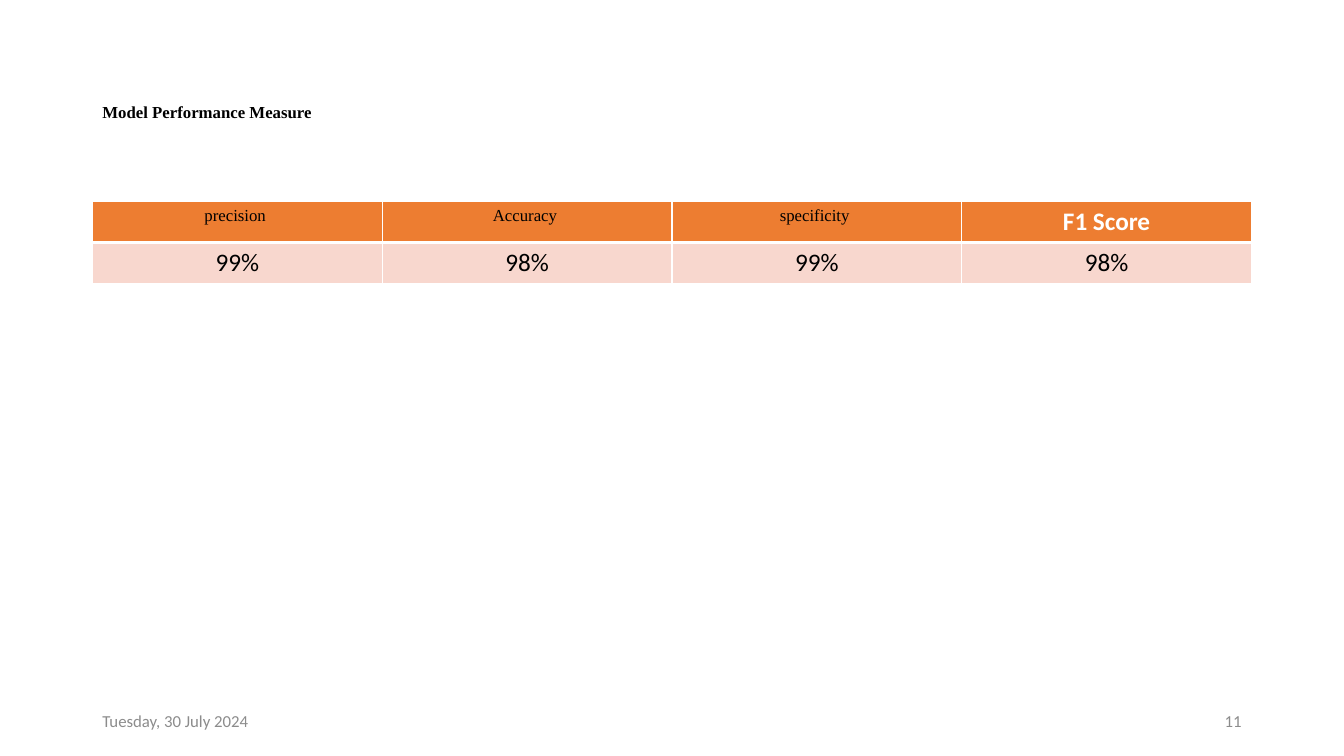
import pptx
import pptx.dml.color
import pptx.enum.text
import pptx.oxml
import pptx.oxml.ns
import pptx.util
from pptx.util import Cm

COLORS = {"text": "000000", "header": "ED7D31", "body": "F8D7CE",
          "white": "FFFFFF", "footer": "8C8C8C"}
ALIGN = pptx.enum.text.PP_ALIGN
SERIF = {"name": "Times New Roman", "size": 12, "bold": False, "color": "text"}
TITLE = {**SERIF, "bold": True}
SCORE = {"name": "Calibri", "size": 18, "bold": True, "color": "white"}
VALUE = {**SCORE, "bold": False, "color": "text"}
FOOTER = {**VALUE, "size": 12, "color": "footer"}

MEASURES = [("precision ", "99%", SERIF), ("Accuracy ", "98%", SERIF),
            ("specificity ", "99%", SERIF), ("F1 Score", "98%", SCORE)]


def rgb(name):
    return pptx.dml.color.RGBColor.from_string(COLORS[name])


def write(tf, text, fmt, align):
    p = tf.paragraphs[0]
    p.alignment = align
    r = p.add_run()
    r.text = text
    for key, value in fmt.items():
        if key == "color":
            r.font.color.rgb = rgb(value)
        else:
            setattr(r.font, key, pptx.util.Pt(value) if key == "size" else value)
    return p


def add_text(s, box, text, fmt, align=ALIGN.LEFT):
    tf = s.shapes.add_textbox(*box).text_frame
    tf.word_wrap = True
    tf.vertical_anchor = pptx.enum.text.MSO_ANCHOR.MIDDLE
    return write(tf, text, fmt, align)


def add_border(cell, side, width):
    ns = pptx.oxml.ns.nsdecls("a")
    cell._tc.get_or_add_tcPr().append(pptx.oxml.parse_xml(
        f'<a:{side} {ns} w="{pptx.util.Pt(width)}"><a:solidFill>'
        f'<a:srgbClr val="{COLORS["white"]}"/></a:solidFill></a:{side}>'))


def add_title(s, box):
    add_text(s, box, "Model Performance Measure", TITLE).line_spacing = 0.9


def add_measures(s, box):
    table = s.shapes.add_table(2, len(MEASURES), *box).table
    for col, (label, value, label_fmt) in enumerate(MEASURES):
        rows = [(label, label_fmt, "header"), (value, VALUE, "body")]
        for row, (text, fmt, fill) in enumerate(rows):
            cell = table.cell(row, col)
            # The rule between the two rows is thicker than the rest
            widths = {"lnL": 1, "lnR": 1, "lnT": 3 if row else 1, "lnB": 1 if row else 3}
            for side, width in widths.items():
                add_border(cell, side, width)
            cell.fill.solid()
            cell.fill.fore_color.rgb = rgb(fill)
            write(cell.text_frame, text, fmt, ALIGN.CENTER)


def add_footer(s, box):
    left, top, width, height = box
    part = Cm(7.62)
    add_text(s, (left, top, part, height), "Tuesday, 30 July 2024", FOOTER)
    add_text(s, (left + width - part, top, part, height), "11", FOOTER, ALIGN.RIGHT)


def main():
    prs = pptx.Presentation()
    prs.slide_width, prs.slide_height = Cm(33.87), Cm(19.05)
    s = prs.slides.add_slide(prs.slide_layouts[6])
    left, width = Cm(2.33), Cm(29.21)

    # Title, table and footer share one column
    add_title(s, (left, Cm(1.01), width, Cm(3.68)))
    add_measures(s, (left, Cm(5.08), width, Cm(2.06)))
    add_footer(s, (left, Cm(17.66), width, Cm(1.01)))
    prs.save("out.pptx")


if __name__ == "__main__":
    main()
